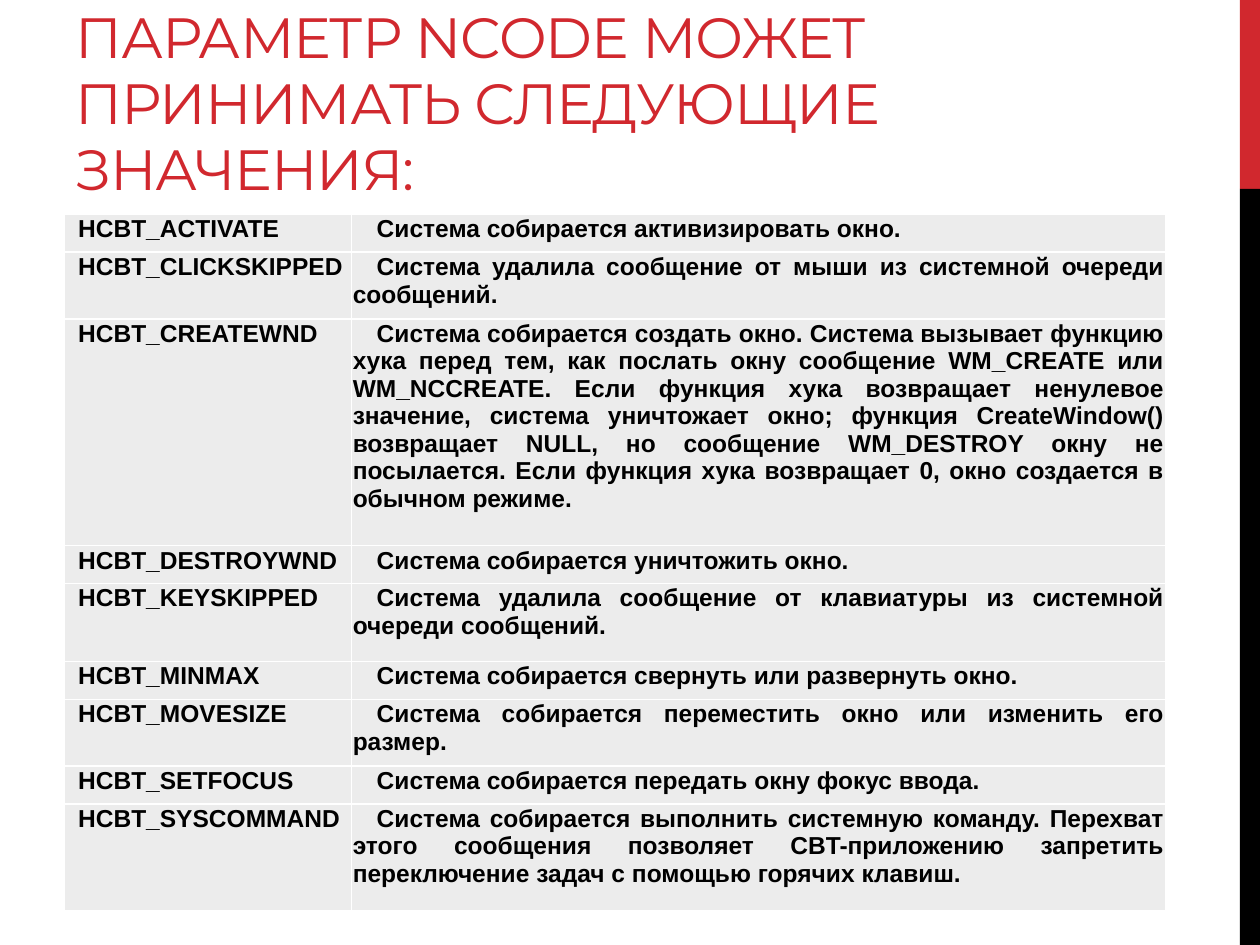
from dataclasses import dataclass

from lxml import etree
from pptx import Presentation
from pptx.dml.color import RGBColor
from pptx.enum.shapes import MSO_SHAPE
from pptx.enum.text import MSO_ANCHOR, PP_ALIGN
from pptx.oxml.ns import qn
from pptx.util import Inches, Pt

RECT = MSO_SHAPE.RECTANGLE
BOTTOM = MSO_ANCHOR.BOTTOM
JUSTIFY = PP_ALIGN.JUSTIFY


@dataclass(frozen=True)
class Theme:
    red: RGBColor = RGBColor.from_string("D1282E")
    black: RGBColor = RGBColor.from_string("000000")
    cell: RGBColor = RGBColor.from_string("ECECEC")
    border: str = "FFFFFF"
    title_font: str = "Montserrat"
    body_font: str = "Arial"
    title_size: float = 32.4
    body_size: float = 14


THEME = Theme()
TITLE = "ПАРАМЕТР NCODE МОЖЕТ ПРИНИМАТЬ СЛЕДУЮЩИЕ ЗНАЧЕНИЯ:"
COLUMN_WIDTHS = (2.28, 6.46)
INDENTS = (0.1, 0.19)
CODES = [
    (0.3, "HCBT_ACTIVATE", "Система собирается активизировать окно."),
    (0.53, "HCBT_CLICKSKIPPED",
     "Система удалила сообщение от мыши из системной очереди сообщений."),
    (1.8, "HCBT_CREATEWND",
     "Система собирается создать окно. Система вызывает функцию хука перед тем, "
     "как послать окну сообщение WM_CREATE или WM_NCCREATE. Если функция хука "
     "возвращает ненулевое значение, система уничтожает окно; функция "
     "CreateWindow() возвращает NULL, но сообщение WM_DESTROY окну не посылается. "
     "Если функция хука возвращает 0, окно создается в обычном режиме."),
    (0.3, "HCBT_DESTROYWND", "Система собирается уничтожить окно."),
    (0.62, "HCBT_KEYSKIPPED",
     "Система удалила сообщение от клавиатуры из системной очереди сообщений."),
    (0.3, "HCBT_MINMAX", "Система собирается свернуть или развернуть окно."),
    (0.53, "HCBT_MOVESIZE",
     "Система собирается переместить окно или изменить его размер."),
    (0.3, "HCBT_SETFOCUS", "Система собирается передать окну фокус ввода."),
    (0.85, "HCBT_SYSCOMMAND",
     "Система собирается выполнить системную команду. Перехват этого сообщения "
     "позволяет CBT-приложению запретить переключение задач с помощью горячих "
     "клавиш."),
]


def add_run(p, text, font, size, color, bold=False):
    r = p.add_run()
    r.text = text
    r.font.name = font
    r.font.size = Pt(size)
    r.font.color.rgb = color
    r.font.bold = bold
    return r


def add_side_bar(s, left, top, width, height):
    red_height = height / 5
    for y, h, color in ((top, red_height, THEME.red),
                        (top + red_height, height - red_height, THEME.black)):
        sp = s.shapes.add_shape(RECT, Inches(left), Inches(y), Inches(width), Inches(h))
        sp.shadow.inherit = False
        sp.fill.solid()
        sp.fill.fore_color.rgb = color
        sp.line.fill.background()


def add_title(s, left, top, width, height):
    sp = s.shapes.add_textbox(Inches(left), Inches(top), Inches(width), Inches(height))
    tf = sp.text_frame
    tf.word_wrap = True
    tf.vertical_anchor = BOTTOM
    p = tf.paragraphs[0]
    p.line_spacing = 0.97
    r = add_run(p, TITLE, THEME.title_font, THEME.title_size, THEME.red)
    r.font._element.set("spc", "-60")


def set_borders(cell):
    tcPr = cell._tc.get_or_add_tcPr()
    for side in ("a:lnL", "a:lnR", "a:lnT", "a:lnB"):
        ln = etree.SubElement(tcPr, qn(side), w=str(Pt(1)))
        fill = etree.SubElement(ln, qn("a:solidFill"))
        etree.SubElement(fill, qn("a:srgbClr"), val=THEME.border)


def fill_cell(cell, text, indent):
    set_borders(cell)
    cell.fill.solid()
    cell.fill.fore_color.rgb = THEME.cell
    cell.margin_left = cell.margin_right = Inches(0.01)
    cell.margin_top = cell.margin_bottom = Inches(0.01)
    p = cell.text_frame.paragraphs[0]
    p.alignment = JUSTIFY
    pPr = p._p.get_or_add_pPr()
    pPr.set("marL", "0")
    pPr.set("indent", str(Inches(indent)))
    add_run(p, text, THEME.body_font, THEME.body_size, THEME.black, bold=True)


def add_code_table(s, left, top, width, height):
    table = s.shapes.add_table(len(CODES), len(COLUMN_WIDTHS), Inches(left), Inches(top),
                               Inches(width), Inches(height)).table
    table.first_row = table.horz_banding = False
    for column, column_width in zip(table.columns, COLUMN_WIDTHS):
        column.width = Inches(column_width)
    for row, (row_height, *texts) in zip(table.rows, CODES):
        row.height = Inches(row_height)
        for cell, text, indent in zip(row.cells, texts, INDENTS):
            fill_cell(cell, text, indent)


def main():
    prs = Presentation()
    prs.slide_width, prs.slide_height = Inches(10), Inches(7.5)
    s = prs.slides.add_slide(prs.slide_layouts[6])
    add_side_bar(s, 9.84, 0, 0.16, 7.5)
    add_title(s, 0.5, 0.17, 8.36, 1.5)
    add_code_table(s, 0.51, 1.7, 8.74, 5.51)
    prs.save("out.pptx")


if __name__ == "__main__":
    main()
